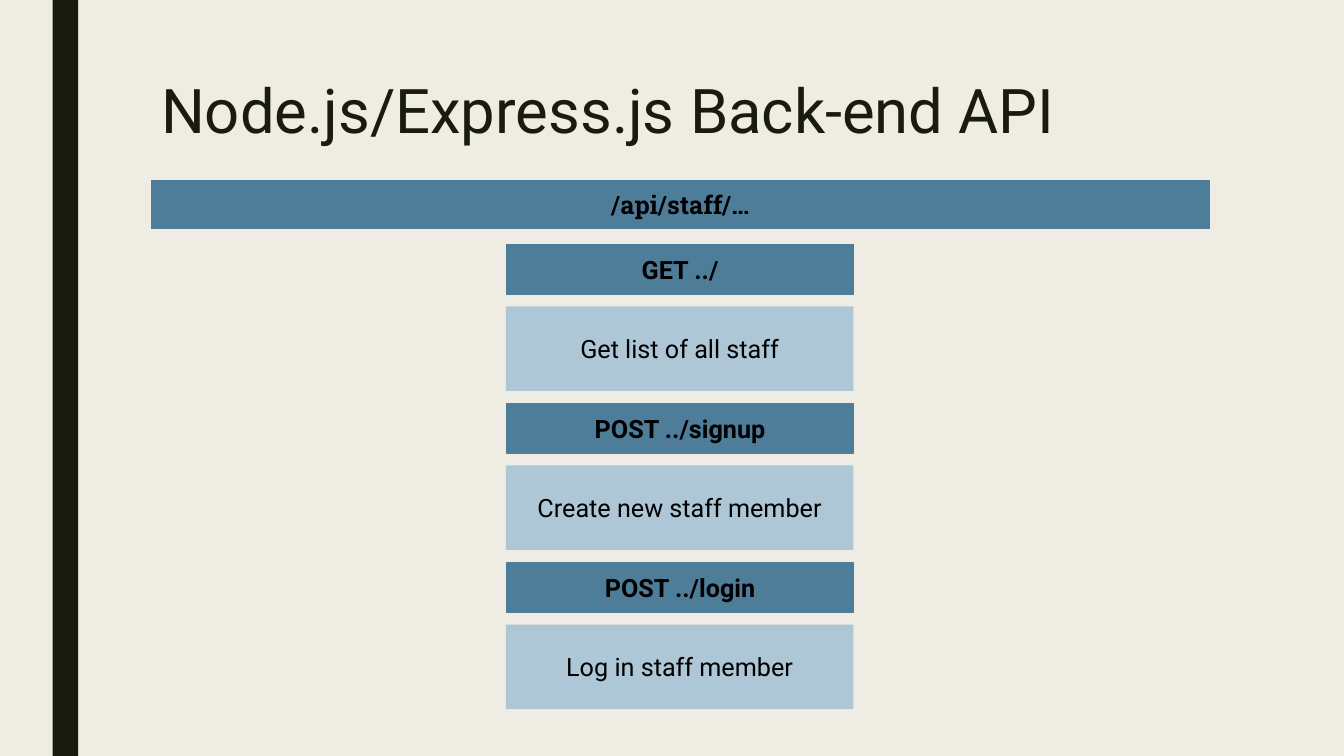
from pptx import Presentation
from pptx.dml.color import RGBColor
from pptx.enum.shapes import MSO_SHAPE
from pptx.enum.text import MSO_ANCHOR, PP_ALIGN
from pptx.util import Cm, Pt

CREAM = RGBColor(0xEF, 0xED, 0xE3)
DARK = RGBColor(0x19, 0x1B, 0x0E)
BLUE = RGBColor(0x4D, 0x7D, 0x99)
PALE = RGBColor(0xAD, 0xC7, 0xD6)
BLACK = RGBColor(0, 0, 0)

ROUTES = [
    ("GET ../", "Get list of all staff"),
    ("POST ../signup", "Create new staff member"),
    ("POST ../login", "Log in staff member"),
]
TOP = 6.15
STEP = 4.01


def add_run(para, text, size, color, font="Roboto", bold=False):
    """Add one styled run to a paragraph."""
    run = para.add_run()
    run.text = text
    run.font.name = font
    run.font.size = Pt(size)
    run.font.bold = bold
    run.font.color.rgb = color


def add_box(slide, left, top, width, height, fill, edge=False):
    """Draw a flat rectangle, with an edge of the same colour if asked."""
    box = slide.shapes.add_shape(
        MSO_SHAPE.RECTANGLE, Cm(left), Cm(top), Cm(width), Cm(height))
    box.shadow.inherit = False
    box.fill.solid()
    box.fill.fore_color.rgb = fill
    if edge:
        box.line.color.rgb = fill
        box.line.width = Pt(0.75)
    else:
        box.line.fill.background()
    return box


def add_label(box, text, font="Roboto", bold=False):
    """Put centred black text in a rectangle."""
    frame = box.text_frame
    frame.word_wrap = True
    frame.vertical_anchor = MSO_ANCHOR.MIDDLE
    para = frame.paragraphs[0]
    para.alignment = PP_ALIGN.CENTER
    add_run(para, text, 18, BLACK, font, bold)


def add_title(slide, text):
    """Add the slide heading."""
    frame = slide.shapes.add_textbox(
        Cm(3.81), Cm(1.91), Cm(26.67), Cm(1.96)).text_frame
    frame.word_wrap = True
    para = frame.paragraphs[0]
    para.line_spacing = 0.89
    add_run(para, text, 44, DARK)


def add_route(slide, top, route, note):
    """Add a route header with its description below."""
    head = add_box(slide, 12.77, top, 8.74, 1.27, BLUE, True)
    add_label(head, route, bold=True)
    body = add_box(slide, 12.75, top + 1.57, 8.76, 2.13, PALE)
    add_label(body, note)


def main():
    """Build and save the slide."""
    deck = Presentation()
    deck.slide_width = Cm(33.87)
    deck.slide_height = Cm(19.05)
    slide = deck.slides.add_slide(deck.slide_layouts[6])
    back = slide.background.fill
    back.solid()
    back.fore_color.rgb = CREAM

    add_box(slide, 1.33, 0, 0.64, 19.05, DARK)
    add_title(slide, "Node.js/Express.js Back-end API")
    base = add_box(slide, 3.81, 4.55, 26.67, 1.22, BLUE, True)
    add_label(base, "/api/staff/…", "Roboto Slab", True)
    for row, (route, note) in enumerate(ROUTES):
        add_route(slide, TOP + row * STEP, route, note)

    deck.save("out.pptx")


if __name__ == "__main__":
    main()
